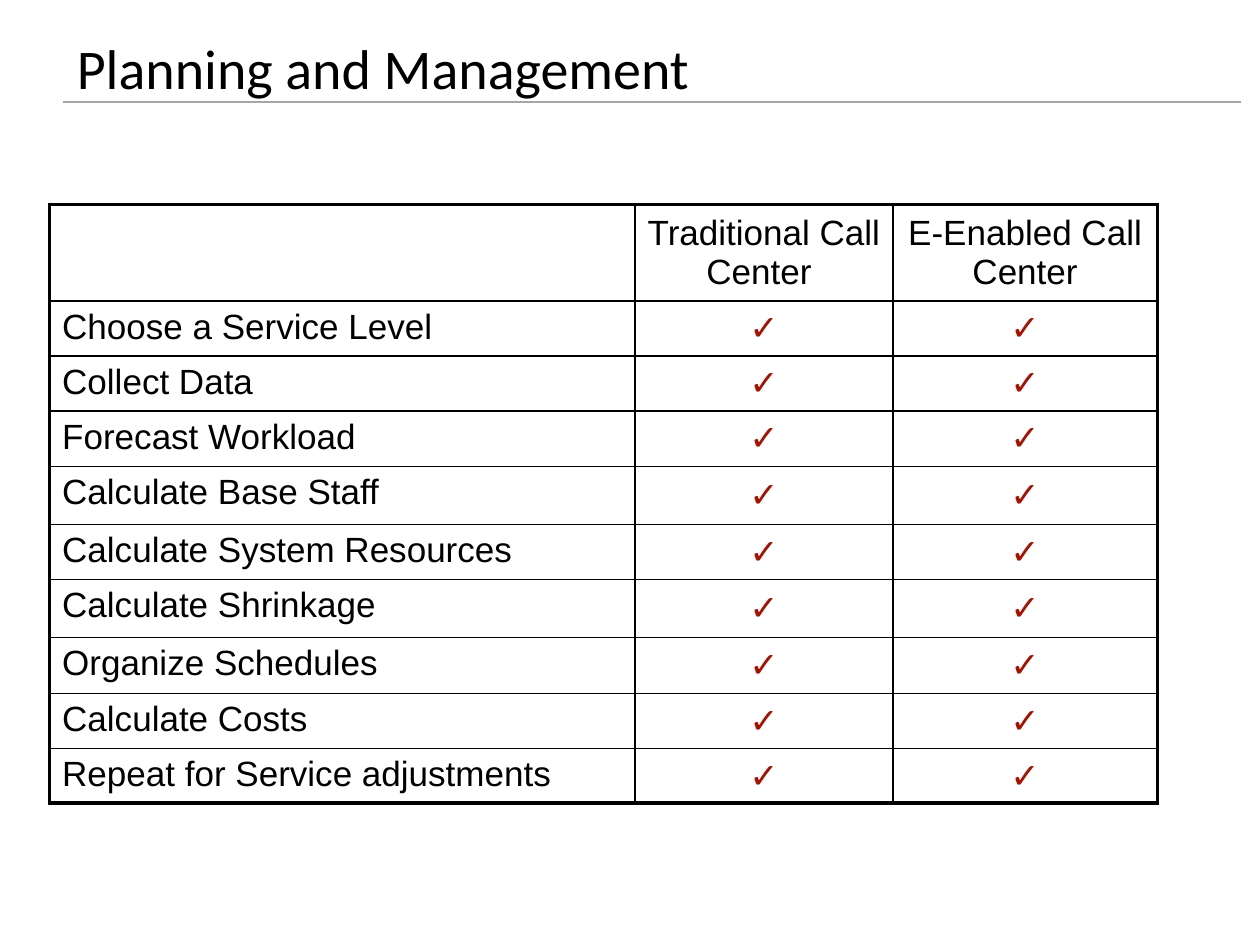
from lxml.etree import SubElement
from pptx import Presentation
from pptx.dml.color import RGBColor
from pptx.enum.shapes import MSO_CONNECTOR
from pptx.enum.text import MSO_ANCHOR, PP_ALIGN
from pptx.oxml.ns import qn
from pptx.util import Cm, Pt

COLORS = {"text": "000000", "check": "A61202", "rule": "A6A6A6", "border": "000000"}
THIN, THICK = Pt(1), Pt(2.25)

HEADERS = ["", "Traditional Call Center ", "E-Enabled Call Center"]
STEPS = [
    "Choose a Service Level", "Collect Data", "Forecast Workload",
    "Calculate Base Staff", "Calculate System Resources", "Calculate Shrinkage",
    "Organize Schedules", "Calculate Costs", "Repeat for Service adjustments",
]
COL_WIDTHS = [11.8, 5.2, 5.33]
ROW_HEIGHTS = [1.95, 1.11, 1.11, 1.11, 1.17, 1.11, 1.17, 1.13, 1.11, 1.09]


def add_run(p, text, font, size, color, bold=False):
    r = p.add_run()
    r.text = text
    r.font.name = font
    r.font.size = Pt(size)
    r.font.bold = bold
    r.font.color.rgb = RGBColor.from_string(COLORS[color])


def set_borders(cell, widths):
    """Draw solid cell borders; widths run left, right, top, bottom."""
    tc_pr = cell._tc.get_or_add_tcPr()
    for side, width in zip("LRTB", widths):
        ln = SubElement(tc_pr, qn(f"a:ln{side}"), w=str(int(width)))
        fill = SubElement(ln, qn("a:solidFill"))
        SubElement(fill, qn("a:srgbClr"), val=COLORS["border"])


def set_space_before(p, percent):
    space = SubElement(p._p.get_or_add_pPr(), qn("a:spcBef"))
    SubElement(space, qn("a:spcPct"), val=str(percent * 1000))


def add_heading(s, left, top, width, height):
    # Rule under the title
    y = top + Cm(1.45)
    rule = s.shapes.add_connector(
        MSO_CONNECTOR.STRAIGHT, left - Cm(0.15), y, left + Cm(23.6), y)
    rule.line.color.rgb = RGBColor.from_string(COLORS["rule"])
    rule.line.width = THIN
    SubElement(rule._element.spPr, qn("a:effectLst"))

    # Title text
    tf = s.shapes.add_textbox(left, top, width, height).text_frame
    tf.word_wrap = True
    tf.vertical_anchor = MSO_ANCHOR.MIDDLE
    tf.margin_left = tf.margin_right = Cm(0.13)
    tf.margin_top = tf.margin_bottom = Cm(0.05)
    add_run(tf.paragraphs[0], "Planning and Management", "Calibri", 32, "text")


def add_comparison(s, left, top, width, height):
    rows = [HEADERS] + [[step, "✓", "✓"] for step in STEPS]
    last_row, last_col = len(rows) - 1, len(HEADERS) - 1
    table = s.shapes.add_table(
        len(rows), len(HEADERS), left, top, width, height).table
    table.first_row = table.horz_banding = False
    for col, col_width in zip(table.columns, COL_WIDTHS):
        col.width = Cm(col_width)
    for row, row_height in zip(table.rows, ROW_HEIGHTS):
        row.height = Cm(row_height)

    for i, texts in enumerate(rows):
        for j, text in enumerate(texts):
            cell = table.cell(i, j)
            # Thick frame outside, thin grid inside
            on_frame = (j == 0, j == last_col, i == 0, i == last_row)
            set_borders(cell, [THICK if edge else THIN for edge in on_frame])
            cell.fill.background()
            p = cell.text_frame.paragraphs[0]
            set_space_before(p, 20)
            if j > 0:
                p.alignment = PP_ALIGN.CENTER
                cell.vertical_anchor = MSO_ANCHOR.MIDDLE
            if text:
                check = i > 0 and j > 0
                add_run(p, text, "Arial", 20, "check" if check else "text", check)


def main():
    prs = Presentation()
    prs.slide_width, prs.slide_height = Cm(25.4), Cm(19.05)
    s = prs.slides.add_slide(prs.slide_layouts[6])
    add_heading(s, Cm(1.42), Cm(0.61), Cm(18.31), Cm(1.47))
    add_comparison(s, Cm(1), Cm(4.12), Cm(sum(COL_WIDTHS)), Cm(sum(ROW_HEIGHTS)))
    prs.save("out.pptx")


if __name__ == "__main__":
    main()
